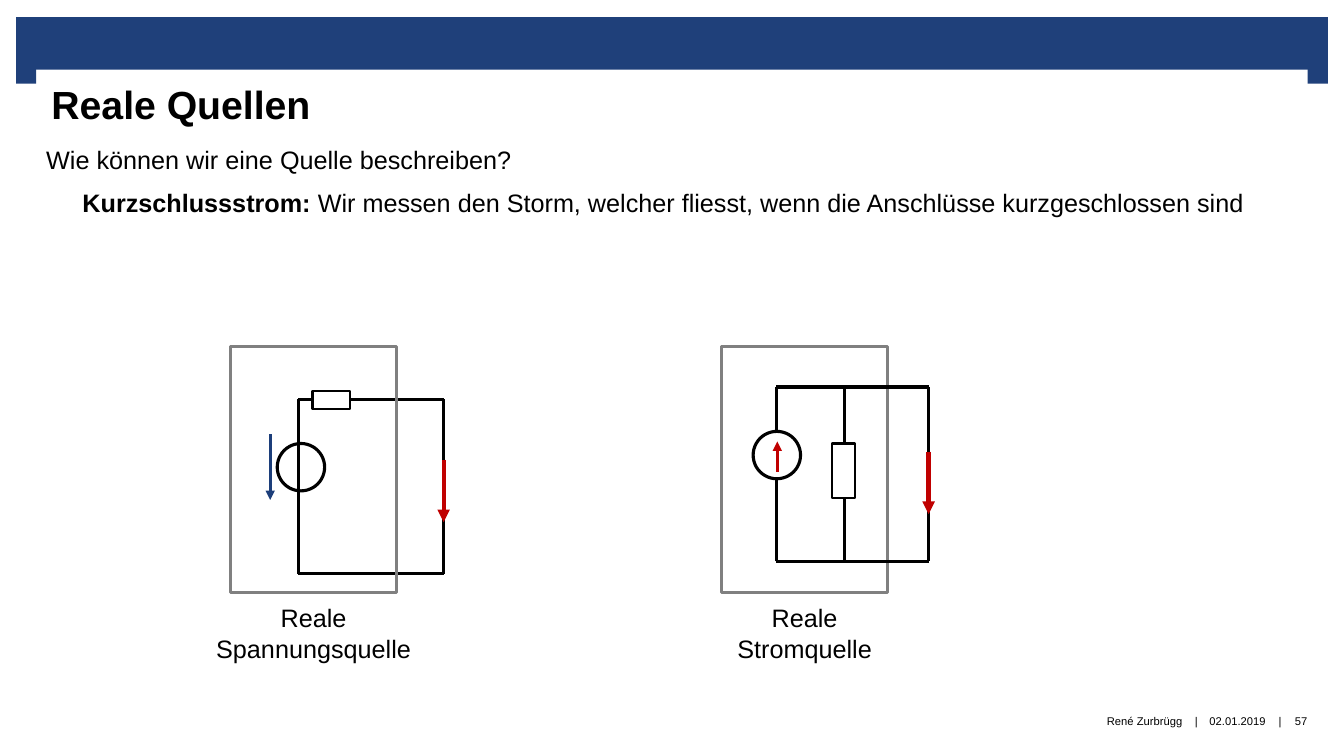
import pptx
import pptx.dml.color
import pptx.enum.shapes
import pptx.enum.text
import pptx.oxml
import pptx.oxml.ns
import pptx.util

Inches = pptx.util.Inches
Pt = pptx.util.Pt
RGBColor = pptx.dml.color.RGBColor
SHAPE = pptx.enum.shapes.MSO_SHAPE
ALIGN = pptx.enum.text.PP_ALIGN
ANCHOR = pptx.enum.text.MSO_ANCHOR

BLACK = RGBColor(0x00, 0x00, 0x00)
WHITE = RGBColor(0xFF, 0xFF, 0xFF)
BANNER_BLUE = RGBColor(0x1F, 0x40, 0x7A)
VOLTAGE_BLUE = RGBColor(0x1C, 0x3E, 0x7A)
CURRENT_RED = RGBColor(0xC0, 0x00, 0x00)
CASE_GRAY = RGBColor(0x80, 0x80, 0x80)


class CircuitSlide:
    """Style and drawing methods for the current slide."""
    font_name = "Arial"
    body_size = 18
    wire_width = 2.25

    def __init__(self, presentation):
        self.slide = presentation.slides.add_slide(presentation.slide_layouts[5])

    def style_runs(self, paragraph, size, bold=False):
        for run in paragraph.runs:
            run.font.name = self.font_name
            run.font.size = Pt(size)
            run.font.bold = bold
            run.font.color.rgb = BLACK

    def set_frame(self, frame, insets, anchor, wrap):
        frame.margin_left, frame.margin_top, frame.margin_right, frame.margin_bottom = (
            Inches(inset) for inset in insets)
        frame.vertical_anchor = anchor
        frame.word_wrap = wrap
        frame.auto_size = pptx.enum.text.MSO_AUTO_SIZE.NONE

    def title(self, text, left, top, width, height):
        title = self.slide.shapes.title
        title.left, title.top = Inches(left), Inches(top)
        title.width, title.height = Inches(width), Inches(height)
        self.set_frame(title.text_frame, (0.16, 0.12, 0.16, 0), ANCHOR.TOP, True)
        title.text_frame.text = text
        paragraph = title.text_frame.paragraphs[0]
        paragraph.alignment = ALIGN.LEFT
        self.style_runs(paragraph, 28, bold=True)

    def text(self, text, left, top, width, height, size=body_size, align=ALIGN.LEFT,
             anchor=ANCHOR.TOP, insets=(0.1, 0.05, 0.1, 0.05)):
        box = self.slide.shapes.add_textbox(
            Inches(left), Inches(top), Inches(width), Inches(height))
        self.set_frame(box.text_frame, insets, anchor, False)
        box.text_frame.text = text
        for paragraph in box.text_frame.paragraphs:
            paragraph.alignment = align
            self.style_runs(paragraph, size)
        return box.text_frame

    def footer(self, text, left, width, align=ALIGN.CENTER):
        self.text(text, left, 6.9, width, 0.5, 8, align, ANCHOR.MIDDLE, (0, 0, 0, 0))

    def shape(self, kind, left, top, width, height, fill=None, line=None, weight=wire_width):
        shape = self.slide.shapes.add_shape(
            kind, Inches(left), Inches(top), Inches(width), Inches(height))
        shape.shadow.inherit = False
        if fill is None:
            shape.fill.background()
        else:
            shape.fill.solid()
            shape.fill.fore_color.rgb = fill
        if line is None:
            shape.line.fill.background()
        else:
            shape.line.color.rgb = line
            shape.line.width = Pt(weight)

    def wire(self, start, end, color=BLACK, weight=wire_width, arrow=False):
        wire = self.slide.shapes.add_connector(
            pptx.enum.shapes.MSO_CONNECTOR.STRAIGHT,
            *(Inches(value) for value in (*start, *end)))
        wire.line.color.rgb = color
        wire.line.width = Pt(weight)
        if arrow:
            head = pptx.oxml.parse_xml(
                f'<a:tailEnd {pptx.oxml.ns.nsdecls("a")} type="triangle"/>')
            wire.line._get_or_add_ln().append(head)
        wire._element.spPr.append(
            pptx.oxml.parse_xml(f'<a:effectLst {pptx.oxml.ns.nsdecls("a")}/>'))

    def loop(self, left, top, right, bottom):
        corners = [(left, top), (right, top), (right, bottom), (left, bottom)]
        for start, end in zip(corners, corners[1:] + corners[:1]):
            self.wire(start, end)

    def source_circle(self, left, top, fill=None):
        self.shape(SHAPE.OVAL, left, top, 0.47, 0.47, fill, BLACK)

    def resistor(self, left, top, width, height):
        self.shape(SHAPE.RECTANGLE, left, top, width, height, WHITE, BLACK, 1.5)

    def case(self, left, caption):
        case_width, caption_width = 1.64, 2.15
        self.shape(SHAPE.RECTANGLE, left, 3.44, case_width, 2.44, None, CASE_GRAY, 2)
        self.text(caption, left + (case_width - caption_width) / 2, 5.93,
                  caption_width, 0.71, align=ALIGN.CENTER)

    def short_circuit_current(self, x, top):
        self.wire((x, top), (x, top + 0.62), CURRENT_RED, 3, arrow=True)


def main():
    presentation = pptx.Presentation()
    presentation.slide_width, presentation.slide_height = Inches(13.33), Inches(7.5)
    page = CircuitSlide(presentation)

    # Banner with its two corner tabs
    page.shape(SHAPE.RECTANGLE, 0.16, 0.17, 13.01, 0.52, BANNER_BLUE)
    for tab_left in (0.16, 12.97):
        page.shape(SHAPE.RECTANGLE, tab_left, 0.65, 0.2, 0.18, BANNER_BLUE)

    # Title and question
    page.title("Reale Quellen", 0.35, 0.68, 12.62, 1.11)
    page.text("Wie können wir eine Quelle beschreiben?", 0.36, 1.38, 4.86, 0.4)
    definition = page.text("Kurzschlussstrom: ", 0.72, 1.81, 11.83, 0.4).paragraphs[0]
    explanation = definition.add_run()
    explanation.text = ("Wir messen den Storm, welcher fliesst, "
                        "wenn die Anschlüsse kurzgeschlossen sind")
    page.style_runs(definition, page.body_size)
    definition.runs[0].font.bold = True

    # Real voltage source
    page.loop(2.96, 3.96, 4.4, 5.69)
    page.source_circle(2.75, 4.4)
    page.wire((2.68, 4.31), (2.68, 4.96), VOLTAGE_BLUE, arrow=True)
    page.resistor(3.1, 3.88, 0.37, 0.18)
    page.case(2.29, "Reale\nSpannungsquelle")
    page.short_circuit_current(4.4, 4.56)

    # Real current source
    page.case(7.16, "Reale\nStromquelle")
    page.loop(7.7, 3.84, 9.21, 5.57)
    page.wire((8.38, 3.84), (8.38, 5.57))
    page.source_circle(7.47, 4.28, WHITE)
    page.wire((7.71, 4.68), (7.71, 4.38), CURRENT_RED, arrow=True)
    page.resistor(8.25, 4.4, 0.23, 0.54)
    page.short_circuit_current(9.21, 4.48)

    # Footer
    page.footer("René Zurbrügg", 6.66, 5.07, ALIGN.RIGHT)
    page.footer("02.01.2019", 11.94, 0.67)
    page.footer("57", 12.71, 0.39)
    for divider_left in (11.79, 12.62):
        page.footer("|", divider_left, 0.15)

    presentation.save("out.pptx")


if __name__ == "__main__":
    main()
